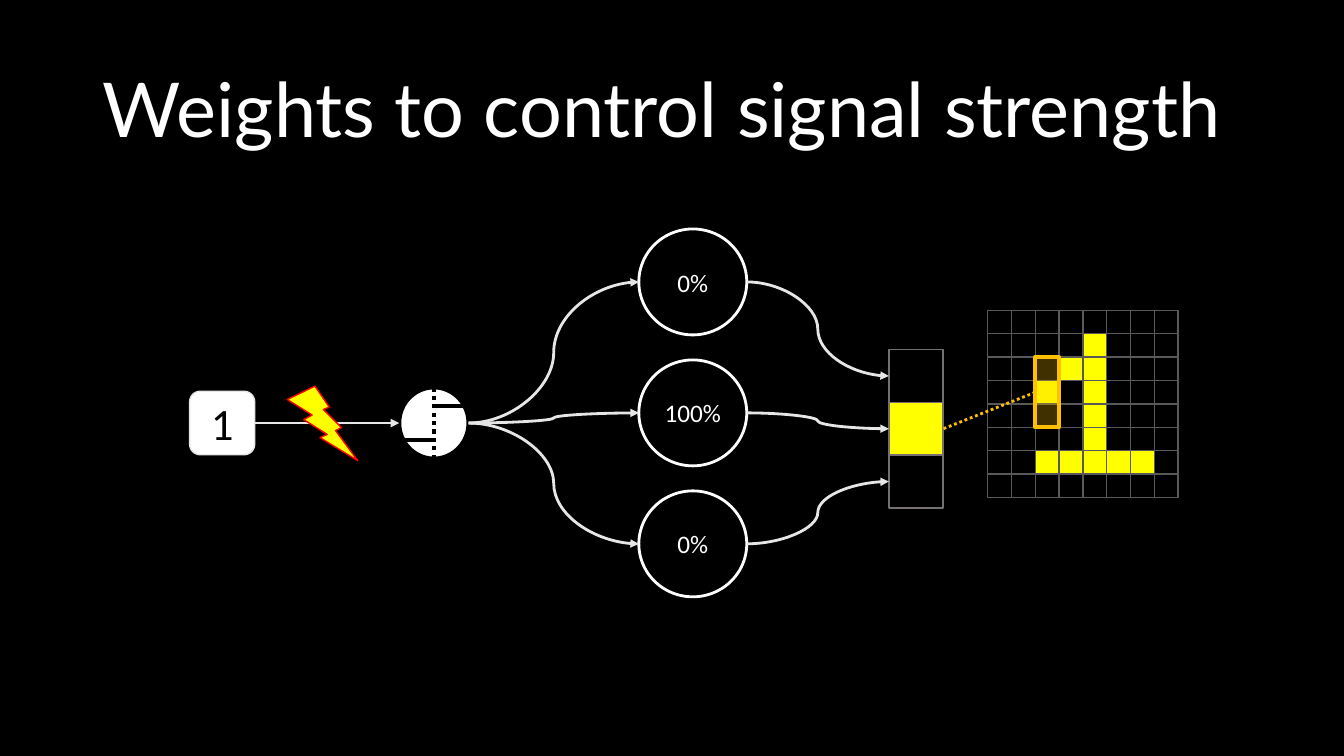
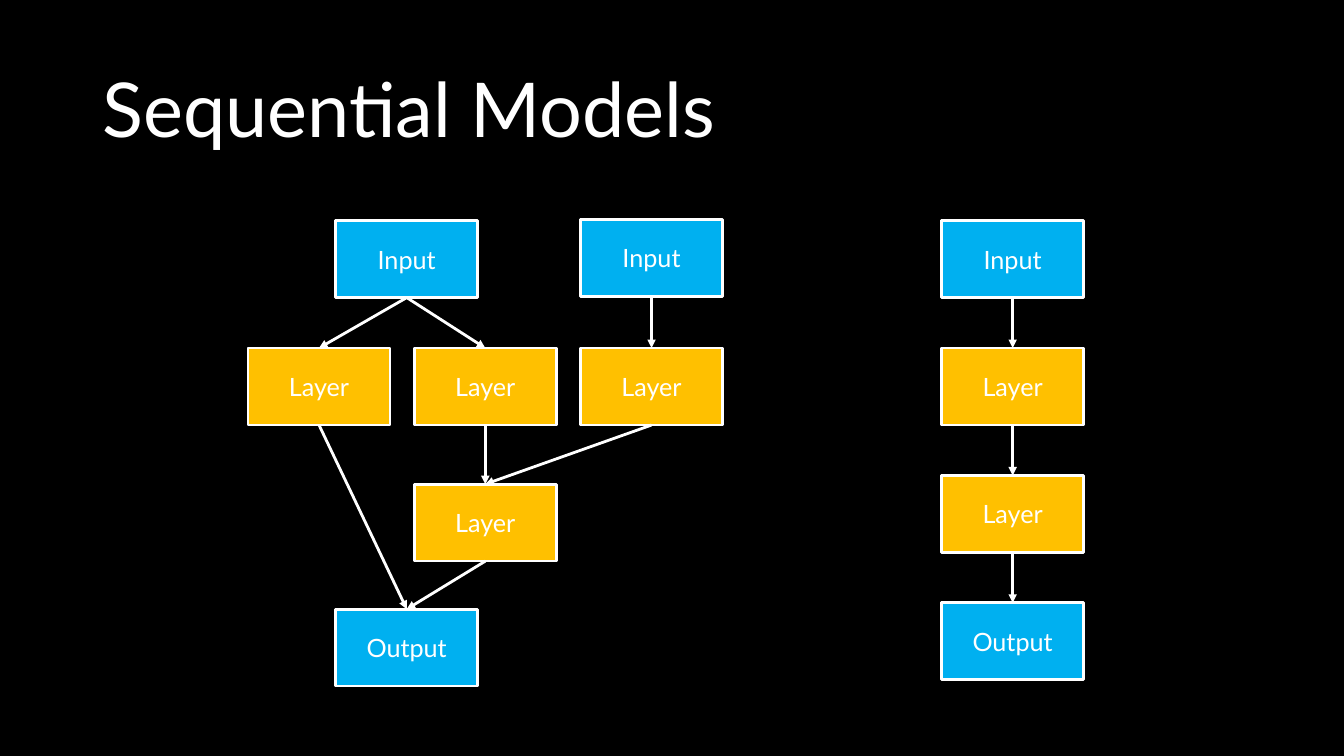
from dataclasses import dataclass

from lxml.etree import SubElement
from pptx import Presentation as Deck
from pptx.dml.color import RGBColor as Rgb
from pptx.enum.dml import MSO_LINE as Dash
from pptx.enum.shapes import MSO_CONNECTOR as Wire, MSO_SHAPE as Form
from pptx.enum.text import MSO_ANCHOR as Anchor, PP_ALIGN as Align
from pptx.oxml.ns import qn
from pptx.util import Cm, Pt


@dataclass(frozen=True)
class Theme:
    black: str = "000000"
    white: str = "FFFFFF"
    pale: str = "E7E6E6"
    gray: str = "767171"
    dim: str = "595959"
    lit: str = "FFFF00"
    red: str = "FF0000"
    gold: str = "FFC000"
    blue: str = "00B0F0"
    font: str = "Lato"
    plain: str = "Calibri"
    title: int = 54
    digit: int = 32
    label: int = 18


T = Theme()
TOP, LEFT, BOTTOM, RIGHT = range(4)

DIGIT = (
    "........",
    "....#...",
    "...##...",
    "..#.#...",
    "....#...",
    "....#...",
    "..#####.",
    "........",
)
CELL_W, CELL_H = 0.6, 0.59
GRID_X, GRID_Y = 24.89, 7.82


def write(shape, text, size=T.label, font=T.font, color=T.white,
          align=Align.CENTER, space=None):
    frame = shape.text_frame
    frame.word_wrap = True
    frame.vertical_anchor = Anchor.MIDDLE
    para = frame.paragraphs[0]
    para.alignment = align
    para.line_spacing = space
    run = para.add_run()
    run.text = text
    run.font.size = Pt(size)
    run.font.name = font
    run.font.color.rgb = Rgb.from_string(color)


def box(on, x, y, w, h, fill, edge, width=1, form=Form.RECTANGLE, alpha=None):
    """Draw a filled preset shape; lengths in cm, alpha in percent."""
    shape = on.add_shape(form, Cm(x), Cm(y), Cm(w), Cm(h))
    shape.shadow.inherit = False
    shape.fill.solid()
    shape.fill.fore_color.rgb = Rgb.from_string(fill)
    shape.line.color.rgb = Rgb.from_string(edge)
    shape.line.width = Pt(width)
    if alpha is not None:
        tint = shape.element.spPr.find(qn("a:solidFill"))[0]
        SubElement(tint, qn("a:alpha"), val=str(alpha * 1000))
    return shape


def pin(shape, side):
    """Return the middle of one side of a shape."""
    x, y, w, h = shape.left, shape.top, shape.width, shape.height
    return {
        TOP: (x + w // 2, y),
        LEFT: (x, y + h // 2),
        BOTTOM: (x + w // 2, y + h),
        RIGHT: (x + w, y + h // 2),
    }[side]


def draw(on, start, end, color=T.white, width=2, kind=Wire.STRAIGHT,
         arrow=True, dash=None):
    line = on.add_connector(kind, *start, *end)
    line.line.color.rgb = Rgb.from_string(color)
    line.line.width = Pt(width)
    if dash is not None:
        line.line.dash_style = dash
    props = line.element.spPr
    if arrow:
        SubElement(props.find(qn("a:ln")), qn("a:tailEnd"), type="triangle")
    SubElement(props, qn("a:effectLst"))
    return line


def join(on, start, end, out=BOTTOM, into=TOP, **style):
    """Draw a straight line that stays fixed to two rectangles."""
    line = draw(on, pin(start, out), pin(end, into), **style)
    line.begin_connect(start, out)
    line.end_connect(end, into)


def page(deck, title):
    """Add a black slide with its title and return its shapes."""
    slide = deck.slides.add_slide(deck.slide_layouts[6])
    back = slide.background.fill
    back.solid()
    back.fore_color.rgb = Rgb.from_string(T.black)
    head = slide.shapes.add_textbox(Cm(2.34), Cm(1.02), Cm(29.21), Cm(3.68))
    write(head, title, size=T.title, align=Align.LEFT, space=0.9)
    return slide.shapes


def grid(on):
    group = on.add_group_shape().shapes
    for r, row in enumerate(DIGIT):
        for c, mark in enumerate(row):
            box(group, GRID_X + c * CELL_W, GRID_Y + r * CELL_H, CELL_W, CELL_H,
                T.lit if mark == "#" else T.black, T.dim)


def gate(on):
    """Draw the disc with a dotted axis and a step; return the disc."""
    group = on.add_group_shape().shapes
    x, y, w, h = 10.06, 9.76, 1.75, 1.8
    disc = box(group, x, y, w, h, T.white, T.black, 3, Form.OVAL)
    mid = x + w / 2
    marks = (
        (mid, y, mid, y + h, Dash.ROUND_DOT),
        (mid - 0.05, 10.24, mid + 0.78, 10.24, None),
        (mid - 0.8, 11.08, mid + 0.03, 11.08, None),
    )
    for x1, y1, x2, y2, dash in marks:
        draw(group, (Cm(x1), Cm(y1)), (Cm(x2), Cm(y2)), color=T.black,
             width=3, arrow=False, dash=dash)
    return disc


def weights(deck):
    on = page(deck, "Weights to control signal strength")
    one = box(on, 4.78, 9.86, 1.64, 1.6, T.white, T.pale,
              form=Form.ROUNDED_RECTANGLE)
    write(one, "1", size=T.digit, font=T.plain, color=T.black)
    grid(on)
    disc = gate(on)
    feed = draw(on, pin(one, RIGHT), pin(disc, LEFT), color=T.pale)
    feed.begin_connect(one, RIGHT)
    box(on, 7.24, 9.73, 1.78, 1.88, T.lit, T.red, form=Form.LIGHTNING_BOLT)

    stack = on.add_group_shape().shapes
    cells = [box(stack, 22.4, 8.81 + i * 1.33, 1.37, 1.33, fill, T.gray)
             for i, fill in enumerate((T.black, T.lit, T.black))]
    for i, (text, cell) in enumerate(zip(("0%", "100%", "0%"), cells)):
        node = box(on, 16.1, 5.77 + i * 3.3, 2.72, 2.67, T.black, T.white, 2,
                   Form.OVAL)
        write(node, text, font=T.plain)
        for start, end in ((disc, node), (node, cell)):
            draw(on, pin(start, RIGHT), pin(end, LEFT), color=T.pale,
                 kind=Wire.CURVE)

    frame = box(on, GRID_X + 2 * CELL_W, GRID_Y + 2 * CELL_H, CELL_W,
                3 * CELL_H, T.gold, T.gold, 3, alpha=25)
    join(on, frame, cells[1], LEFT, RIGHT, color=T.gold, arrow=False,
         dash=Dash.ROUND_DOT)


def block(on, text, x, y):
    fill = T.gold if text == "Layer" else T.blue
    shape = box(on, x, y, 3.58, 1.94, fill, T.white, 2)
    write(shape, text)
    return shape


def models(deck):
    on = page(deck, "Sequential Models")
    cols = [6.25 + i * 4.19 for i in range(3)]
    fork, row = 8.46, 8.77
    main_in = block(on, "Input", fork, 5.56)
    side_in = block(on, "Input", cols[2], 5.53)
    first, second, third = [block(on, "Layer", x, row) for x in cols]
    merge = block(on, "Layer", cols[1], 12.2)
    out = block(on, "Output", fork, 15.35)
    links = (
        (main_in, first), (main_in, second), (side_in, third),
        (second, merge), (third, merge), (merge, out), (first, out),
    )
    chain = [block(on, text, 23.73, 5.56 + i * 3.21)
             for i, text in enumerate(("Input", "Layer", "Layer", "Output"))]
    for start, end in (*links, *zip(chain, chain[1:])):
        join(on, start, end)


def main():
    deck = Deck()
    deck.slide_width, deck.slide_height = Cm(33.87), Cm(19.05)
    weights(deck)
    models(deck)
    deck.save("out.pptx")


if __name__ == "__main__":
    main()
